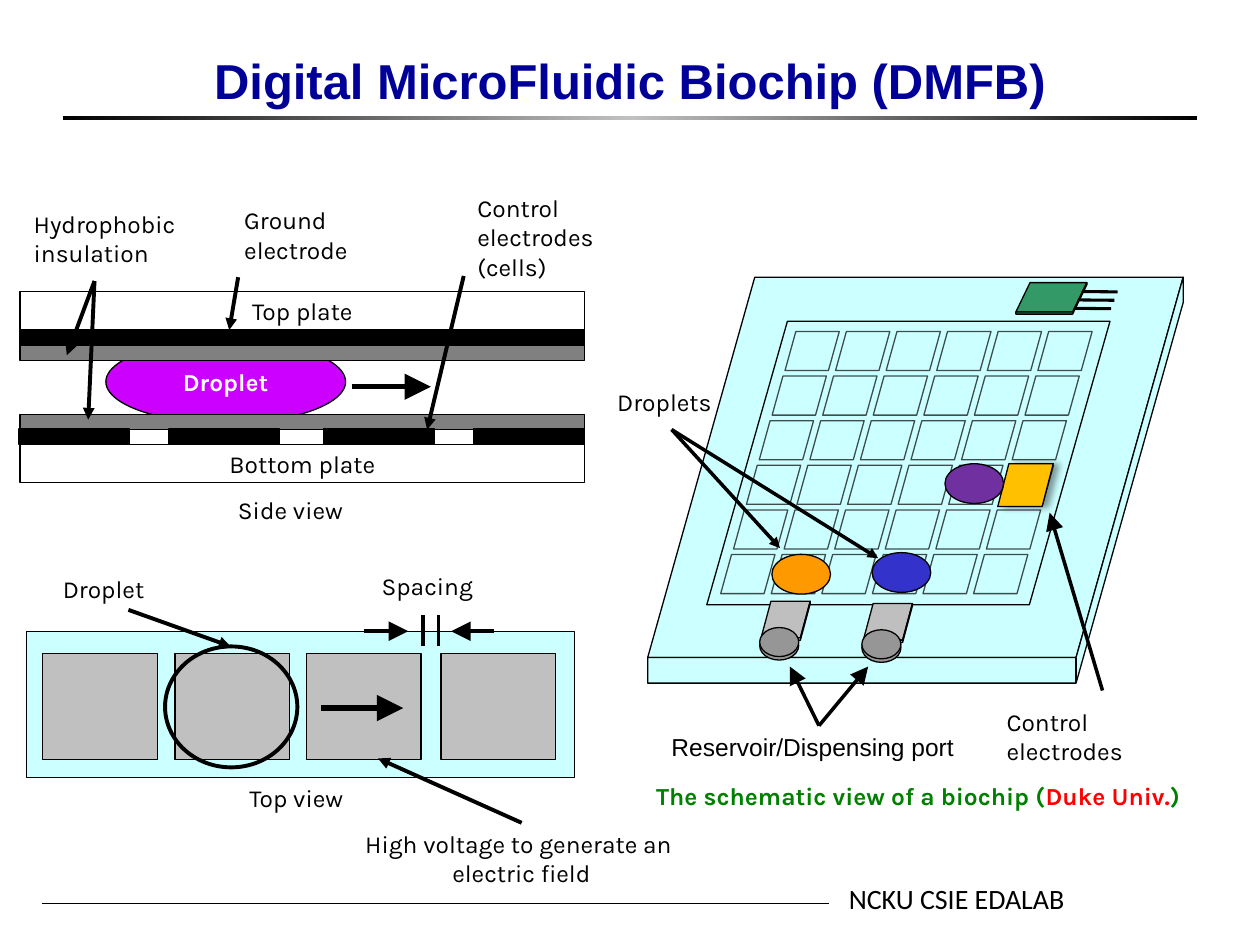
from copy import deepcopy

from lxml import etree
from pptx import Presentation
from pptx import util as u
from pptx.dml.color import RGBColor
from pptx.enum import shapes, text
from pptx.oxml.ns import qn

COLORS = {
    "black": "000000", "white": "FFFFFF", "navy": "000099", "silver": "C0C0C0",
    "gray": "808080", "magenta": "CC00FF", "cyan": "CCFFFF", "green": "008000",
    "red": "FF0000", "port": "BFBFBF", "rim": "969696", "orange": "FF9900",
    "blue": "3333CC", "gold": "FFC000", "chip": "339966", "purple": "7030A0",
}
RECT = shapes.MSO_SHAPE.RECTANGLE
OVAL = shapes.MSO_SHAPE.OVAL
SLANTED = shapes.MSO_SHAPE.FLOWCHART_DATA


def color(name):
    return RGBColor.from_string(COLORS[name])


def points(*values):
    return [u.Pt(value) for value in values]


def write(shape, spans, size=14, font="Karla", bold=False, align="LEFT", anchor="TOP", wrap=True):
    frame = shape.text_frame
    frame.word_wrap = wrap
    frame.vertical_anchor = text.MSO_ANCHOR[anchor]
    para = frame.paragraphs[0]
    para.alignment = text.PP_ALIGN[align]
    para.text = "".join(words for words, _ in spans) if len(spans) == 1 else ""
    if len(spans) > 1:
        for words, _ in spans:
            para.add_run().text = words
    names = [name for _, name in spans]
    for index, span in enumerate(para.runs):
        for key, value in {"size": u.Pt(size), "name": font, "bold": bold}.items():
            setattr(span.font, key, value)
        span.font.color.rgb = color(names[min(index, len(names) - 1)])
    for line_break in para._p.findall(qn("a:br")):
        line_break.append(deepcopy(para.runs[0]._r.rPr))


def label(page, left, top, width, height, *spans, grow=True, **style):
    box = page.shapes.add_textbox(*points(left, top, width, height))
    write(box, spans, **style)
    if grow:
        box.text_frame.auto_size = text.MSO_AUTO_SIZE.SHAPE_TO_FIT_TEXT
    return box


def paint(shape, fill, weight=0.75, alpha=None):
    shape.shadow.inherit = False
    if fill:
        shape.fill.solid()
        shape.fill.fore_color.rgb = color(fill)
    else:
        shape.fill.background()
    shape.line.color.rgb = color("black")
    shape.line.width = u.Pt(weight)
    if alpha:
        tint = shape._element.spPr.find(qn("a:solidFill"))[0]
        etree.SubElement(tint, qn("a:alpha"), val=str(alpha * 1000))


def block(page, kind, left, top, width, height, fill=None, **style):
    shape = page.shapes.add_shape(kind, *points(left, top, width, height))
    paint(shape, fill, **style)
    return shape


def line(page, x1, y1, x2, y2, weight=2.25, arrow=None):
    connector = page.shapes.add_connector(shapes.MSO_CONNECTOR.STRAIGHT, *points(x1, y1, x2, y2))
    connector.line.color.rgb = color("black")
    connector.line.width = u.Pt(weight)
    properties = connector._element.spPr
    if arrow:
        stroke = properties.find(qn("a:ln"))
        etree.SubElement(stroke, qn("a:tailEnd"), type="triangle", w=arrow, len=arrow)
    etree.SubElement(properties, qn("a:effectLst"))


def slab(page, left, top, width, height, depth, fill):
    right, bottom, corner = left + width, top + height, left + 0.8 * width
    block(page, SLANTED, left, top, width, height, fill)
    outline = [(right, top), (right, top + depth), (corner, bottom + depth),
               (left, bottom + depth), (left, bottom), (corner, bottom)]
    start, *rest = [points(*point) for point in outline]
    builder = page.shapes.build_freeform(*start)
    builder.add_line_segments(rest, close=True)
    paint(builder.convert_to_shape(), fill)
    line(page, corner, bottom, corner, bottom + depth, 0.75)


def frame_parts(page):
    rule = page.shapes.add_shape(RECT, *points(36, 66.2, 648, 2.4))
    rule.shadow.inherit = False
    rule.line.fill.background()
    rule.fill.gradient()
    rule.fill.gradient_angle = 0
    stops = rule._element.spPr.find(qn("a:gradFill")).find(qn("a:gsLst"))
    stops.append(deepcopy(stops[0]))
    for stop, place, name in zip(rule.fill.gradient_stops, (0, 0.5, 1), ("black", "silver", "black")):
        stop.position = place
        stop.color.rgb = color(name)
    line(page, 23.8, 516.2, 473.8, 516.2, 0.5)
    label(page, 478, 500.4, 158, 26.6, ("NCKU CSIE EDALAB", "black"), size=16, font="Calibri")
    label(page, 54, 0, 612, 66.2, ("Digital MicroFluidic Biochip (DMFB)", "navy"), grow=False,
          size=28, font="Arial", bold=True, align="CENTER", anchor="BOTTOM")


def side_view(page):
    centred = {"align": "CENTER", "anchor": "MIDDLE", "wrap": False}
    droplet = block(page, OVAL, 60.5, 194.4, 137, 47.5, "magenta")
    write(droplet, [("Droplet", "white")], bold=True, **centred)
    for top, height, fill, words in [
        (254.2, 21.6, None, "Bottom plate"), (188.6, 8.8, "black", None),
        (166.7, 21.8, None, "Top plate"), (197.3, 8.6, "gray", None), (236.9, 8.6, "gray", None),
    ]:
        layer = block(page, RECT, 11.5, top, 322.6, height, fill)
        if words:
            write(layer, [(words, "black")], **centred)
    for left in (10.8, 96.5, 185, 270.7):
        block(page, RECT, left, 245.2, 63.4, 8.8, "black")
    for left, top, width, height, words in [
        (128.9, 279.4, 113, 24.5, "Side view"),
        (132.5, 113.8, 90.7, 41, "Ground \nelectrode"),
        (265.7, 106.6, 105, 58.3, "Control \nelectrodes (cells)"),
        (12.2, 115.9, 134.6, 41, "Hydrophobic insulation"),
    ]:
        label(page, left, top, width, height, (words, "black"))
    for ends in [(136.1, 158.4, 131, 188.6), (265, 157.7, 244.1, 245.5),
                 (54, 160.6, 50.4, 239.8), (54, 160.6, 38.2, 203)]:
        line(page, *ends, arrow="med")
    line(page, 200.9, 221, 246.2, 221, 3, "lg")


def top_view(page):
    block(page, RECT, 15.1, 360.7, 313.2, 83.5, "cyan")
    for left in (24.3, 100, 175, 252):
        block(page, RECT, left, 373.5, 65.6, 60.4, "silver")
    line(page, 183.6, 404.6, 230.4, 404.6, 3, "lg")
    block(page, OVAL, 94.3, 369.4, 75.6, 69.1, weight=2.25)
    for left in (241.9, 250.6):
        line(page, left, 351.4, left, 369.4)
    line(page, 282.2, 360.7, 257.8, 360.7, arrow="lg")
    line(page, 208.1, 360.7, 233.3, 360.7, arrow="lg")
    line(page, 73.4, 348.5, 131.8, 369.4, arrow="med")
    line(page, 298.1, 470.2, 216, 433.4, arrow="med")
    for left, top, width, words in [(135.4, 444.2, 113, "Top view"), (28.8, 324.7, 89.3, "Droplet"),
                                    (211, 322.6, 105.8, "Spacing")]:
        label(page, left, top, width, 24.5, (words, "black"))
    label(page, 174.2, 470.2, 247.7, 41, ("High voltage to generate an \nelectric field", "black"),
          align="CENTER")


def biochip(page):
    label(page, 367.9, 442.8, 329, 24.5, ("The schematic view of a biochip (", "green"),
          ("Duke Univ.", "red"), (")", "green"), bold=True)
    slab(page, 370.1, 158.4, 306, 217.4, 14.6, "cyan")
    label(page, 376.6, 414.7, 185.8, 24.5, ("Reservoir/Dispensing port", "black"), font="Arial")
    for tip in (451.4, 496.1):
        line(page, 468, 414.7, tip, 380.9, 2, "lg")
    for row in range(6):
        for column in range(6):
            left = 448.6 + 28.9 * column - 7.35 * row
            block(page, SLANTED, left, 189.4 + 25.5 * row, 31, 22.3, "cyan", alpha=30)
    block(page, SLANTED, 403.9, 183.6, 230.4, 162, "cyan", alpha=30)
    for left, top in [(434.5, 343.6), (492.9, 344.9)]:
        slab(page, left + 0.4, top, 28.1, 20.9, 1.4, "port")
        for drop in (17, 15):
            block(page, OVAL, left - 0.4, top + drop, 22.3, 16.6, "rim")
    label(page, 345.6, 217.4, 90, 24.5, ("Droplets", "black"))
    block(page, OVAL, 441.1, 316.8, 33.5, 22.7, "orange")
    block(page, OVAL, 498.4, 315.8, 33.5, 22.7, "blue")
    for tip in [(501.8, 319), (445.7, 313.2)]:
        line(page, 383.8, 245.5, *tip, 2, "med")
    label(page, 568.1, 400.3, 129.6, 24.5, ("Control electrodes", "black"))
    line(page, 630, 394.6, 599.8, 293, 2, "lg")
    electrode = block(page, SLANTED, 570.2, 265, 31.7, 24.5, "gold")
    shadow = etree.SubElement(electrode._element.spPr.find(qn("a:effectLst")), qn("a:outerShdw"),
                              blurRad=str(u.Pt(4)), dist=str(u.Pt(3)), dir="0")
    shade = etree.SubElement(shadow, qn("a:srgbClr"), val=COLORS["black"])
    etree.SubElement(shade, qn("a:alpha"), val="40000")
    slab(page, 580.5, 161.5, 40.6, 16.8, 1.2, "chip")
    for pin in range(3):
        line(page, 618.5 - 2.2 * pin, 166.6 + 4.8 * pin, 638.6 - 1.8 * pin, 166.8 + 4.8 * pin, 1.75)
    block(page, OVAL, 540, 265, 33.5, 22.7, "purple")


def main():
    deck = Presentation()
    deck.slide_width, deck.slide_height = points(720, 540)
    page = deck.slides.add_slide(deck.slide_layouts[6])
    for draw in (frame_parts, side_view, top_view, biochip):
        draw(page)
    deck.save("out.pptx")


if __name__ == "__main__":
    main()
